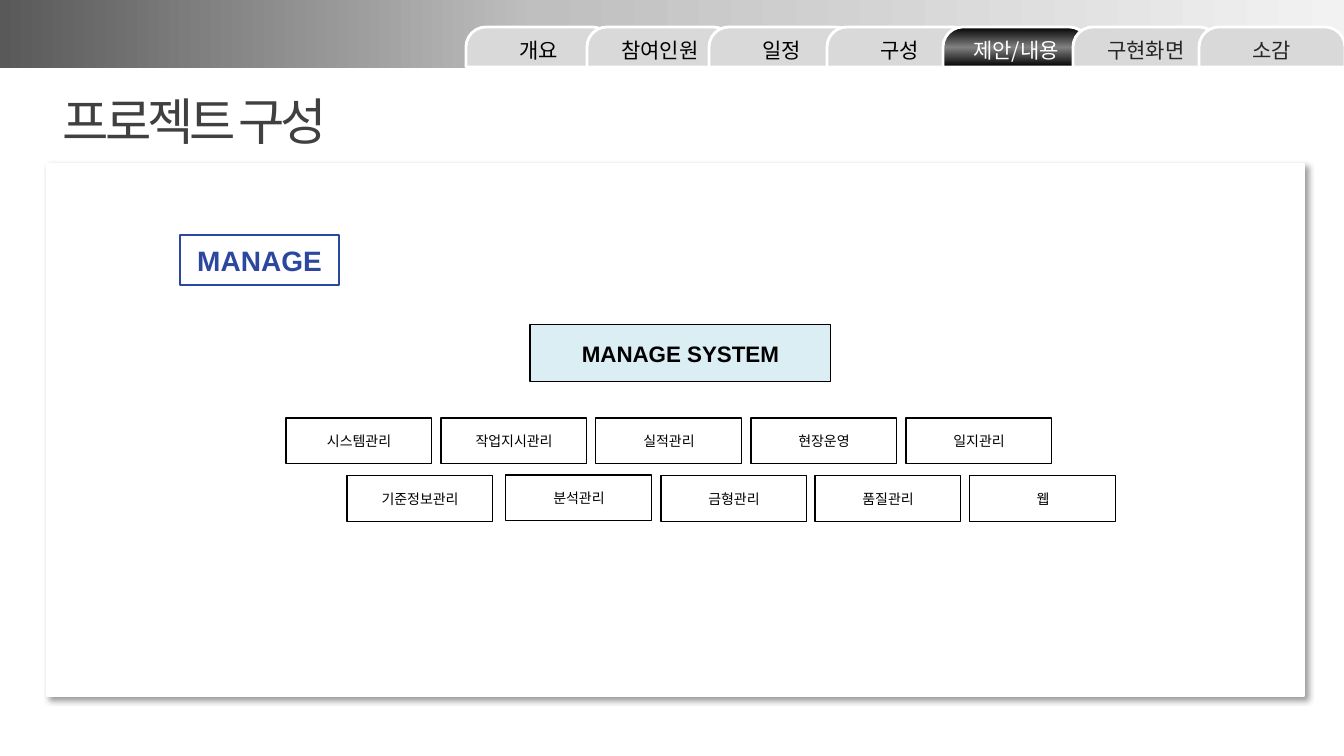
from lxml import etree
from pptx import Presentation
from pptx.dml.color import RGBColor
from pptx.enum.shapes import MSO_SHAPE
from pptx.enum.text import MSO_ANCHOR, MSO_AUTO_SIZE, PP_ALIGN
from pptx.oxml.ns import qn
from pptx.util import Pt

SCALE = 914400 / 100.8
RECT = MSO_SHAPE.RECTANGLE
TAB = MSO_SHAPE.ROUND_2_SAME_RECTANGLE
MIDDLE = MSO_ANCHOR.MIDDLE
CENTER = PP_ALIGN.CENTER
GROW = MSO_AUTO_SIZE.SHAPE_TO_FIT_TEXT
LATIN = "Arial"
KOREAN = "Noto Sans CJK KR"

BLACK = RGBColor(0x00, 0x00, 0x00)
WHITE = RGBColor(0xFF, 0xFF, 0xFF)
BLUE = RGBColor(0x2C, 0x47, 0x9E)
PALE = RGBColor(0xDB, 0xEE, 0xF4)
INK = RGBColor(0x26, 0x26, 0x26)
SLATE = RGBColor(0x40, 0x40, 0x40)
GREY = RGBColor(0xD9, 0xD9, 0xD9)
DARK = RGBColor(0x59, 0x59, 0x59)
MID = RGBColor(0xBF, 0xBF, 0xBF)
LIGHT = RGBColor(0xF2, 0xF2, 0xF2)
STEEL = RGBColor(0x80, 0x80, 0x80)

TABS = [
    ("개요", 466, BLACK), ("참여인원", 587, BLACK), ("일정", 709, BLACK),
    ("구성", 827, BLACK), ("제안/내용", 943, WHITE),
    ("구현화면", 1073, INK), ("소감", 1199, INK),
]
ACTIVE = "제안/내용"
UPPER = ["시스템관리", "작업지시관리", "실적관리", "현장운영", "일지관리"]
LOWER = [("기준정보관리", 61, 58), ("분석관리", 220, 57), ("금형관리", 375, 58),
         ("품질관리", 529, 58), ("웹", 684, 58)]


def px(n):
    """Turn pixels into EMU."""
    return round(n * SCALE)


def add(parent, tag, **attrs):
    """Append a drawing element and return it."""
    return etree.SubElement(parent, qn(tag), {k: str(v) for k, v in attrs.items()})


def shape(shapes, kind, box, fill, line=None, width=0.75):
    """Add a flat shape with a plain fill and an optional line."""
    item = shapes.add_shape(kind, *map(px, box))
    item.shadow.inherit = False
    item.fill.solid()
    item.fill.fore_color.rgb = fill
    if line is None:
        item.line.fill.background()
    else:
        item.line.color.rgb = line
        item.line.width = Pt(width)
    return item


def shade(item, stops, angle):
    """Give a shape a linear gradient."""
    item.fill.gradient()
    grad = item.fill._xPr.find(qn("a:gradFill"))
    for child in list(grad):
        grad.remove(child)
    row = add(grad, "a:gsLst")
    for spot, color in stops:
        stop = add(row, "a:gs", pos=spot * 1000)
        add(stop, "a:srgbClr", val=color)
    add(grad, "a:lin", ang=angle * 60000, scaled=0)


def write(item, text, size, color, face=LATIN, bold=False, wrap=False):
    """Set one centred line of text."""
    frame = item.text_frame
    frame.text = text
    frame.word_wrap = wrap
    frame.vertical_anchor = MIDDLE
    frame.paragraphs[0].alignment = CENTER
    run = frame.paragraphs[0].runs[0]
    font = run.font
    font.size, font.bold, font.name = Pt(size), bold, face
    font.color.rgb = color
    add(run._r.get_or_add_rPr(), "a:ea", typeface=KOREAN)
    return run


def panel(slide, box):
    """Place the white card with its soft shadow."""
    card = shape(slide.shapes, RECT, box, WHITE, WHITE, 1)
    effect = card._element.spPr.find(qn("a:effectLst"))
    glow = add(effect, "a:outerShdw", blurRad=Pt(4), dist=Pt(3),
               dir=45 * 60000, algn="tl", rotWithShape=0)
    tint = add(glow, "a:srgbClr", val=BLACK)
    add(tint, "a:alpha", val=40000)


def modules(slide, left, top):
    """Place the system heading and its two rows of modules."""
    group = slide.shapes.add_group_shape().shapes
    label = shape(group, RECT, (left, top, 159, 50), WHITE, BLUE, 1)
    write(label, "MANAGE", 20, BLUE, bold=True, wrap=True)
    head = shape(group, RECT, (left + 350, top + 90, 301, 57), PALE, BLACK)
    write(head, "MANAGE SYSTEM", 16, BLACK, bold=True)
    cells = [(name, 155 * i, 0) for i, name in enumerate(UPPER)] + LOWER
    for name, x, y in cells:
        box = (left + 106 + x, top + 183 + y, 146, 46)
        write(shape(group, RECT, box, WHITE, BLACK), name, 10, BLACK)


def banner(slide, box):
    """Place the shaded strip along the top."""
    strip = shape(slide.shapes, RECT, box, GREY)
    shade(strip, [(0, DARK), (40, MID), (100, LIGHT)], 0)


def title(slide, box):
    """Place the slide title."""
    item = slide.shapes.add_textbox(*map(px, box))
    run = write(item, "프로젝트 구성", 36, SLATE, KOREAN)
    run._r.get_or_add_rPr().set("spc", "-300")
    frame = item.text_frame
    frame.auto_size = GROW
    frame.vertical_anchor = MSO_ANCHOR.TOP
    frame.paragraphs[0].alignment = PP_ALIGN.LEFT


def tabs(slide, top):
    """Place the row of overlapping tabs."""
    group = slide.shapes.add_group_shape().shapes
    for name, left, color in TABS:
        item = shape(group, TAB, (left, top, 146, 40), GREY, WHITE, 2)
        item.adjustments[0] = 0.5
        item.adjustments[1] = 0
        if name == ACTIVE:
            shade(item, [(0, BLACK), (51, STEEL), (100, BLACK)], 90)
        write(item, name, 15, color, KOREAN, wrap=True)


def main():
    """Build and save the slide."""
    deck = Presentation()
    deck.slide_width, deck.slide_height = px(1344), px(756)
    slide = deck.slides.add_slide(deck.slide_layouts[6])
    panel(slide, (47, 164, 1257, 532))
    modules(slide, 180, 235)
    banner(slide, (0, -1, 1344, 69))
    title(slide, (53, 85, 310, 72))
    tabs(slide, 27)
    deck.save("out.pptx")


if __name__ == "__main__":
    main()
